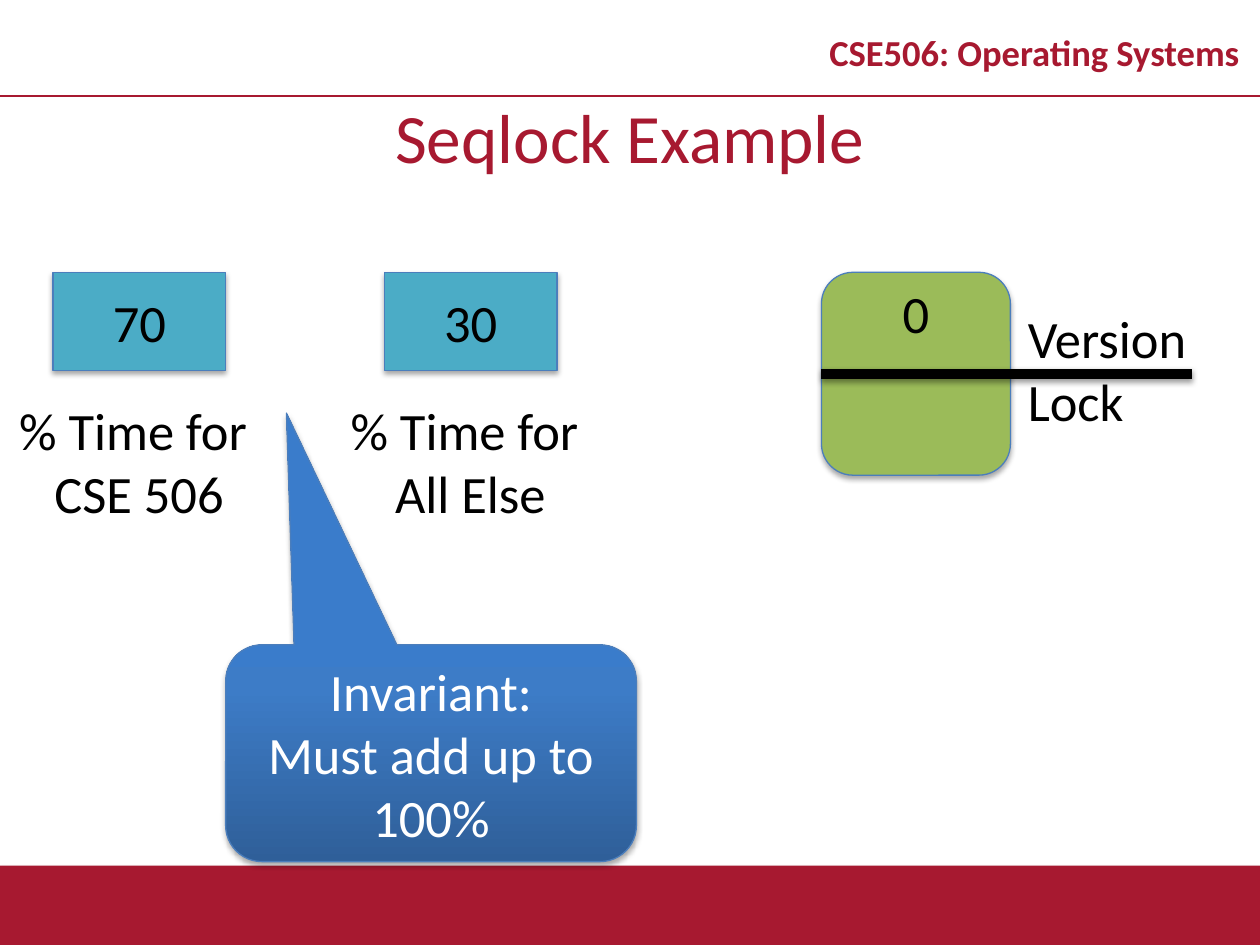
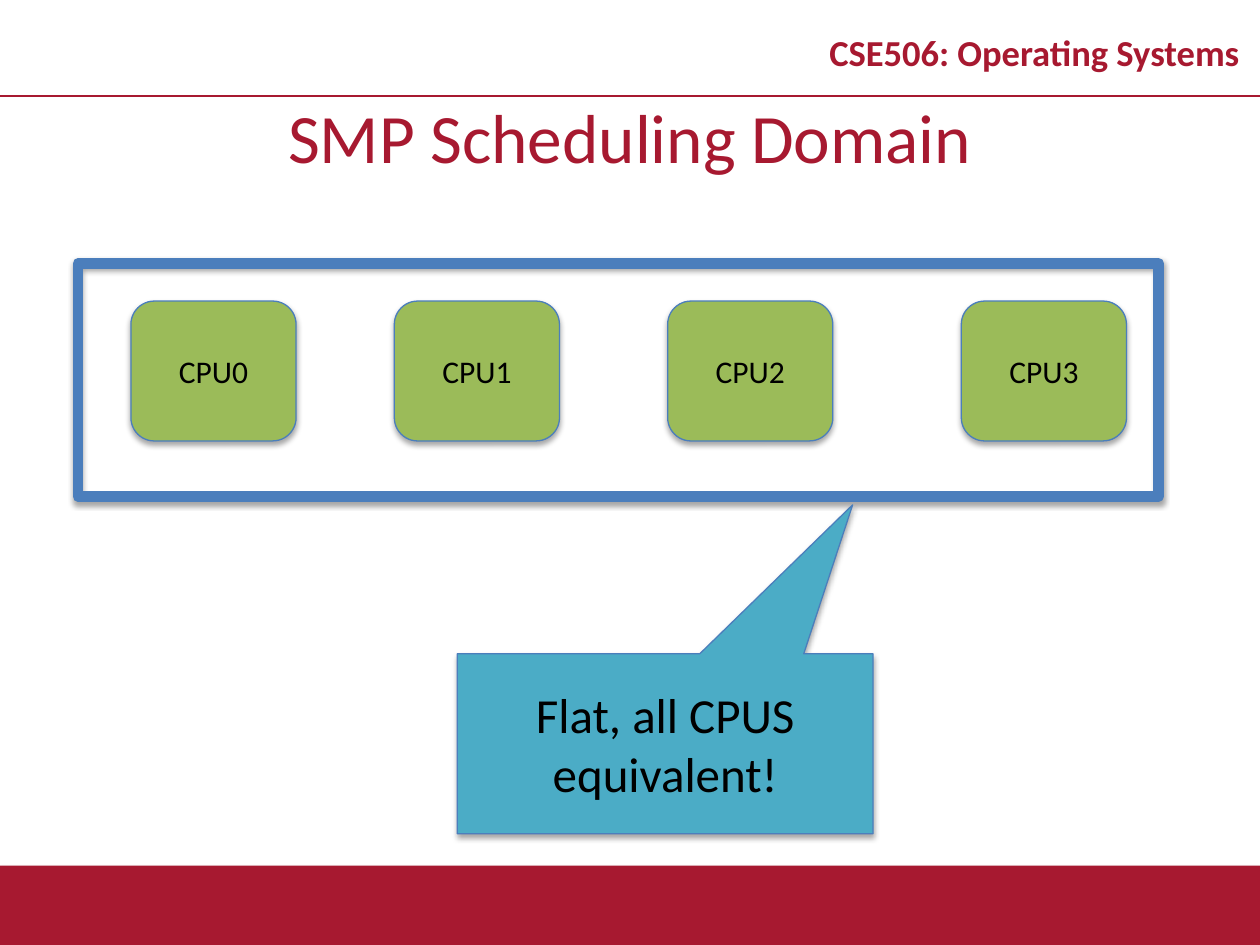
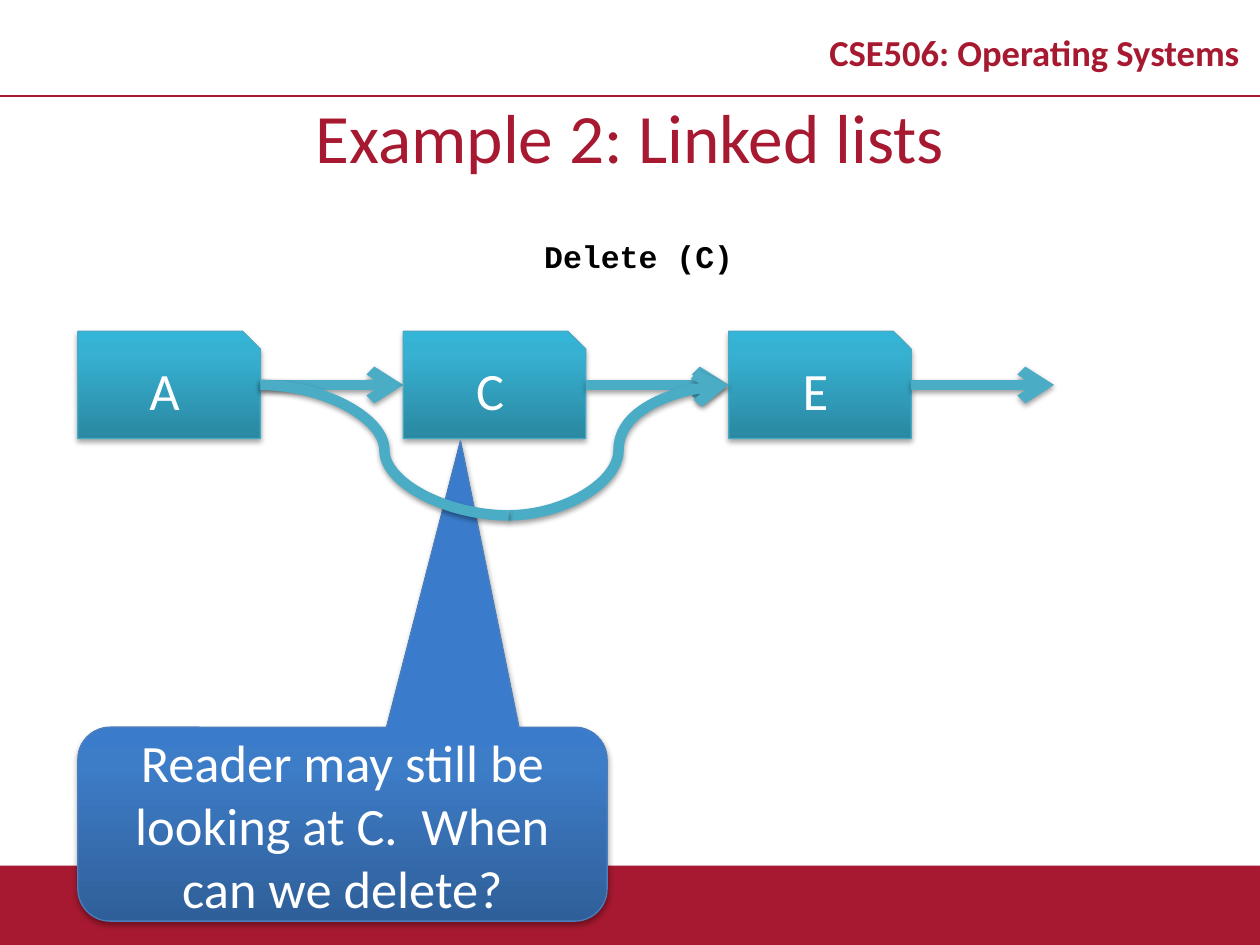
from dataclasses import dataclass

from pptx import Presentation
from pptx.dml.color import RGBColor
from pptx.enum.shapes import MSO_CONNECTOR, MSO_SHAPE
from pptx.enum.text import MSO_ANCHOR, MSO_AUTO_SIZE, PP_ALIGN
from pptx.oxml import parse_xml
from pptx.oxml.ns import nsdecls
from pptx.util import Cm, Pt

RECT = MSO_SHAPE.RECTANGLE
ROUND = MSO_SHAPE.ROUNDED_RECTANGLE
SNIP = MSO_SHAPE.SNIP_1_RECTANGLE
WEDGE = MSO_SHAPE.RECTANGULAR_CALLOUT
BUBBLE = MSO_SHAPE.ROUNDED_RECTANGULAR_CALLOUT
LINE = MSO_CONNECTOR.STRAIGHT
CURVE = MSO_CONNECTOR.CURVE
LEFT, CENTER = PP_ALIGN.LEFT, PP_ALIGN.CENTER
TOP, MIDDLE = MSO_ANCHOR.TOP, MSO_ANCHOR.MIDDLE
GROW, FIXED = MSO_AUTO_SIZE.SHAPE_TO_FIT_TEXT, MSO_AUTO_SIZE.NONE


@dataclass(frozen=True)
class Theme:
    red: str = "A71930"
    teal: str = "4BACC6"
    green: str = "9BBB59"
    edge: str = "4B7EBC"
    rim: str = "46AAC5"
    black: str = "000000"
    white: str = "FFFFFF"
    blues: tuple = ("2F5F99", "3D7CC7", "3A7CCB")
    teals: tuple = ("2A88A2", "37B1D2", "34B4D6")
    font: str = "Calibri"
    code: str = "Courier New"
    title: float = 39.6
    head: float = 20.9
    body: float = 30
    note: float = 28
    small: float = 18
    thin: float = 0.75
    rule: float = 1
    thick: float = 6


@dataclass(frozen=True)
class Box:
    x: float
    y: float
    w: float
    h: float

    def area(self, x, y, w, h):
        return Box(self.x + x, self.y + y, w, h)

    def cm(self):
        return Cm(self.x), Cm(self.y), Cm(self.w), Cm(self.h)


T = Theme()
PAGE = Box(0, 0, 25.4, 19.05)


def rgb(code):
    return RGBColor.from_string(code)


def shade(item, alpha=35, drop=23000):
    props = item._element.spPr
    for old in props.findall("{*}effectLst"):
        props.remove(old)
    props.append(parse_xml(
        f'<a:effectLst {nsdecls("a")}><a:outerShdw blurRad="40000" dist="{drop}" '
        f'dir="5400000" rotWithShape="0"><a:srgbClr val="{T.black}">'
        f'<a:alpha val="{alpha * 1000}"/></a:srgbClr></a:outerShdw></a:effectLst>'))


def blend(shape, tints):
    stops = "".join(f'<a:gs pos="{pos}"><a:srgbClr val="{tint}"/></a:gs>'
                    for pos, tint in zip((0, 80000, 100000), tints))
    shape._element.spPr.insert(2, parse_xml(
        f'<a:gradFill {nsdecls("a")} rotWithShape="1"><a:gsLst>{stops}</a:gsLst>'
        '<a:lin ang="16200000" scaled="0"/></a:gradFill>'))


def write(frame, text, size, color, font=T.font, bold=False, align=CENTER):
    for row, para in enumerate(text.split("\n")):
        p = frame.paragraphs[0] if row == 0 else frame.add_paragraph()
        p.alignment = align
        for i, words in enumerate(para.split("\v")):
            if i:
                p.add_line_break()
            run = p.add_run()
            run.text = words
            run.font.name, run.font.size, run.font.bold = font, Pt(size), bold
            run.font.color.rgb = rgb(color)


def block(slide, kind, box, fill, edge=T.edge, width=T.thin, text="",
          size=T.body, color=T.black):
    shape = slide.shapes.add_shape(kind, *box.cm())
    shape.shadow.inherit = False
    if isinstance(fill, tuple):
        blend(shape, fill)
    elif fill:
        shape.fill.solid()
        shape.fill.fore_color.rgb = rgb(fill)
    else:
        shape.fill.background()
    if edge:
        shape.line.color.rgb = rgb(edge)
        shape.line.width = Pt(width)
    else:
        shape.line.fill.background()
    shade(shape)
    if text:
        write(shape.text_frame, text, size, color)
    return shape


def label(slide, box, text, size=T.body, align=CENTER, font=T.font, bold=False):
    frame = slide.shapes.add_textbox(*box.cm()).text_frame
    frame.word_wrap = False
    frame.auto_size = GROW
    write(frame, text, size, T.black, font, bold, align)


def stroke(slide, kind, start, end, color, width=T.thick, arrow=False, cast=True):
    wire = slide.shapes.add_connector(kind, *map(Cm, start + end))
    wire.line.color.rgb = rgb(color)
    wire.line.width = Pt(width)
    if arrow:
        wire.line._get_or_add_ln().append(
            parse_xml(f'<a:tailEnd {nsdecls("a")} type="arrow"/>'))
    if cast:
        shade(wire, 38, 20000)
    else:
        wire._element.spPr.append(parse_xml(f'<a:effectLst {nsdecls("a")}/>'))
    return wire


def bubble(slide, box, text, tip):
    shape = block(slide, BUBBLE, box, T.blues, text=text, color=T.white)
    for i, value in enumerate(tip + (0.167,)):
        shape.adjustments[i] = value


def dress(layout, slide, box):
    band = block(slide, RECT, box.area(0, 17.45, box.w, 1.6), T.red, None)
    y = box.y + 1.93
    rule = stroke(slide, LINE, (box.x, y), (box.x + box.w, y), T.red, T.rule, cast=False)
    head = slide.shapes.add_textbox(*box.area(16.31, 0.33, 9.09, 1.6).cm())
    frame = head.text_frame
    frame.word_wrap = True
    frame.vertical_anchor = MIDDLE
    write(frame, "CSE506: Operating Systems", T.head, T.red, bold=True)
    frame.paragraphs[0].line_spacing = 0.8
    for i, item in enumerate((band, rule, head)):
        node = item._element
        node.xpath(".//p:cNvPr")[0].set("id", str(100 + i))
        layout.shapes._spTree.insert(2 + i, node)


def name(slide, box, text):
    title = slide.shapes.title
    title.left, title.top, title.width, title.height = box.cm()
    frame = title.text_frame
    frame.auto_size = FIXED
    frame.vertical_anchor = MIDDLE
    write(frame, text, T.title, T.red)


def shares(slide, box):
    for i, (value, use) in enumerate((("70", "CSE 506"), ("30", "All Else"))):
        x = i * 6.68
        block(slide, RECT, box.area(x + 1.07, 0, 3.48, 1.98), T.teal, text=value)
        label(slide, box.area(x, 2.41, 5.61, 2.82), f"% Time for \v{use}")


def lock(slide, box):
    cell = block(slide, ROUND, box.area(0, 0, 3.81, box.h), T.green, text="0")
    cell.text_frame.vertical_anchor = TOP
    cell.text_frame.margin_top = 0
    y = box.y + box.h / 2
    stroke(slide, LINE, (box.x, y), (box.x + box.w, y), T.black)
    label(slide, box.area(3.91, 0.56, 3.94, 2.82), "Version\vLock", align=LEFT)


def seqlock(slide, box):
    shares(slide, box.area(0, 1.96, 12.29, 5.23))
    lock(slide, box.area(16.56, 1.96, 7.47, 4.09))
    bubble(slide, box.area(4.55, 9.47, 8.28, 4.37),
           "Invariant:\nMust add up to 100%", (-0.352, -1.569))


def domain(slide, box):
    for i, x in enumerate((2.64, 7.95, 13.46, 19.38)):
        block(slide, ROUND, box.area(x, 2.54, 3.33, 2.82), T.green,
              text=f"CPU{i}", size=T.small)
    block(slide, RECT, box.area(1.57, 1.78, 21.79, 4.7), None, width=T.thick)
    note = block(slide, WEDGE, box.area(9.22, 9.65, 8.38, 3.63), T.teal,
                 text="Flat, all CPUS equivalent!", size=T.note)
    note.adjustments[0], note.adjustments[1] = 0.451, -1.327


def chain(slide, box):
    wide, step = 3.68, 6.56
    y = box.y + box.h / 2
    for i, node in enumerate("ACE"):
        block(slide, SNIP, box.area(i * step, 0, wide, box.h), T.teals, T.rim,
              text=node, color=T.white)
        x = box.x + i * step
        stroke(slide, LINE, (x + wide, y), (x + step, y), T.teal, arrow=True)


def bypass(slide, box):
    low = (box.x + 5, box.y + box.h)
    stroke(slide, CURVE, low, (box.x + box.w, box.y), T.teal, arrow=True)
    stroke(slide, CURVE, (box.x, box.y), low, T.teal)


def linked(slide, box):
    chain(slide, box.area(1.57, 3.15, 19.68, 2.16))
    bubble(slide, box.area(1.57, 11.13, 10.67, 3.91),
           "Reader may still be looking at C.  When can we delete?", (0.223, -1.976))
    label(slide, box.area(10.72, 1.12, 4.37, 1.02), "Delete (C)", T.small, LEFT,
          T.code, True)
    bypass(slide, box.area(5.25, 4.23, 9.44, 2.63))


def main():
    deck = Presentation()
    deck.slide_width, deck.slide_height = Cm(PAGE.w), Cm(PAGE.h)
    layout = deck.slide_layouts[5]
    pages = (("Seqlock Example", seqlock),
             ("SMP Scheduling Domain", domain),
             ("Example 2: Linked lists", linked))
    for i, (title, draw) in enumerate(pages):
        slide = deck.slides.add_slide(layout)
        if i == 0:
            dress(layout, slide, PAGE)
        name(slide, PAGE.area(0, 1.93, PAGE.w, 1.6), title)
        draw(slide, PAGE.area(0, 3.53, PAGE.w, 13.92))
    deck.save("out.pptx")


main()
